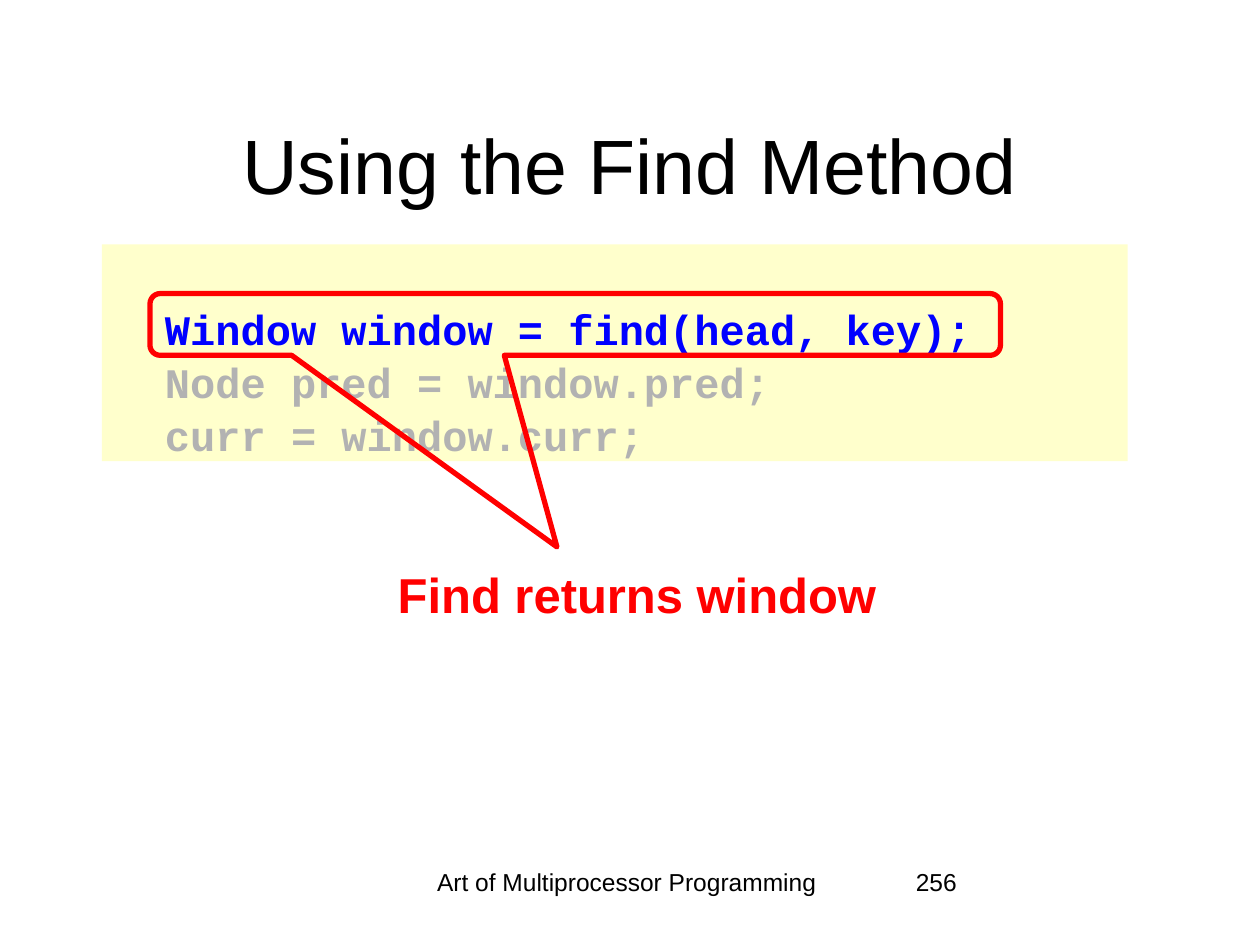
from dataclasses import dataclass
from pptx import Presentation
from pptx.dml.color import RGBColor as RGB
from pptx.enum.shapes import MSO_SHAPE as Shape
from pptx.enum.text import MSO_ANCHOR as Anchor, PP_ALIGN as Align
from pptx.util import Inches, Pt


@dataclass(frozen=True)
class Theme:
    sans: str = "Arial"
    mono: str = "Courier New"
    ink: str = "000000"
    red: str = "FF0000"
    blue: str = "0000FF"
    gray: str = "B2B2B2"
    cream: str = "FFFFCC"
    title: int = 44
    note: int = 28
    code: int = 24
    foot: int = 14


THEME = Theme()


def style(para, size, color, face=THEME.sans, bold=False):
    for run in para.runs:
        font = run.font
        font.name = face
        font.size = Pt(size)
        font.bold = bold
        font.color.rgb = RGB.from_string(color)


def add_label(slide, box, text, size, color=THEME.ink, bold=False,
              align=Align.CENTER, anchor=Anchor.TOP):
    frame = slide.shapes.add_textbox(*map(Inches, box)).text_frame
    frame.word_wrap = True
    frame.vertical_anchor = anchor
    frame.text = text
    para = frame.paragraphs[0]
    para.alignment = align
    style(para, size, color, bold=bold)


def add_code(slide, box, lines):
    panel = slide.shapes.add_shape(Shape.RECTANGLE, *map(Inches, box))
    panel.shadow.inherit = False
    panel.fill.solid()
    panel.fill.fore_color.rgb = RGB.from_string(THEME.cream)
    panel.line.fill.background()
    frame = panel.text_frame
    frame.word_wrap = True
    frame.vertical_anchor = Anchor.TOP
    frame.margin_left = Inches(0.5)
    frame.margin_top = Inches(0.45)
    frame.text = "\n".join(text for text, color in lines)
    for para, (text, color) in zip(frame.paragraphs, lines):
        para.alignment = Align.LEFT
        para.line_spacing = 1.05
        style(para, THEME.code, color, THEME.mono, True)


def add_callout(slide, box, tip):
    mark = slide.shapes.add_shape(Shape.ROUNDED_RECTANGULAR_CALLOUT,
                                  *map(Inches, box))
    mark.shadow.inherit = False
    mark.fill.background()
    mark.line.color.rgb = RGB.from_string(THEME.red)
    mark.line.width = Pt(3)
    left, top, width, height = box
    mark.adjustments[0] = (tip[0] - left) / width - 0.5
    mark.adjustments[1] = (tip[1] - top) / height - 0.5
    mark.adjustments[2] = 0.167


def add_footer(slide, box, text, page):
    left, top, width, height = box
    add_label(slide, (left, top, 3.75, height), text, THEME.foot)
    add_label(slide, (left + 4.07, top, width - 4.07, height), page,
              THEME.foot, align=Align.LEFT)


def main():
    deck = Presentation()
    deck.slide_width, deck.slide_height = Inches(10), Inches(7.5)
    slide = deck.slides.add_slide(deck.slide_layouts[6])
    add_footer(slide, (3.1, 6.83, 6.15, 0.5),
               "Art of Multiprocessor Programming", "256")
    add_label(slide, (0.75, 0.67, 8.5, 1.25), "Using the Find Method",
              THEME.title, anchor=Anchor.MIDDLE)
    add_code(slide, (0.81, 1.94, 8.14, 1.72), [
        ("Window window = find(head, key);", THEME.blue),
        ("Node pred = window.pred;", THEME.gray),
        ("curr = window.curr;", THEME.gray),
    ])
    add_callout(slide, (1.19, 2.33, 6.75, 0.49), (4.42, 4.34))
    add_label(slide, (1.45, 4.43, 7.21, 0.57), "Find returns window",
              THEME.note, THEME.red, True)
    deck.save("out.pptx")


if __name__ == "__main__":
    main()
